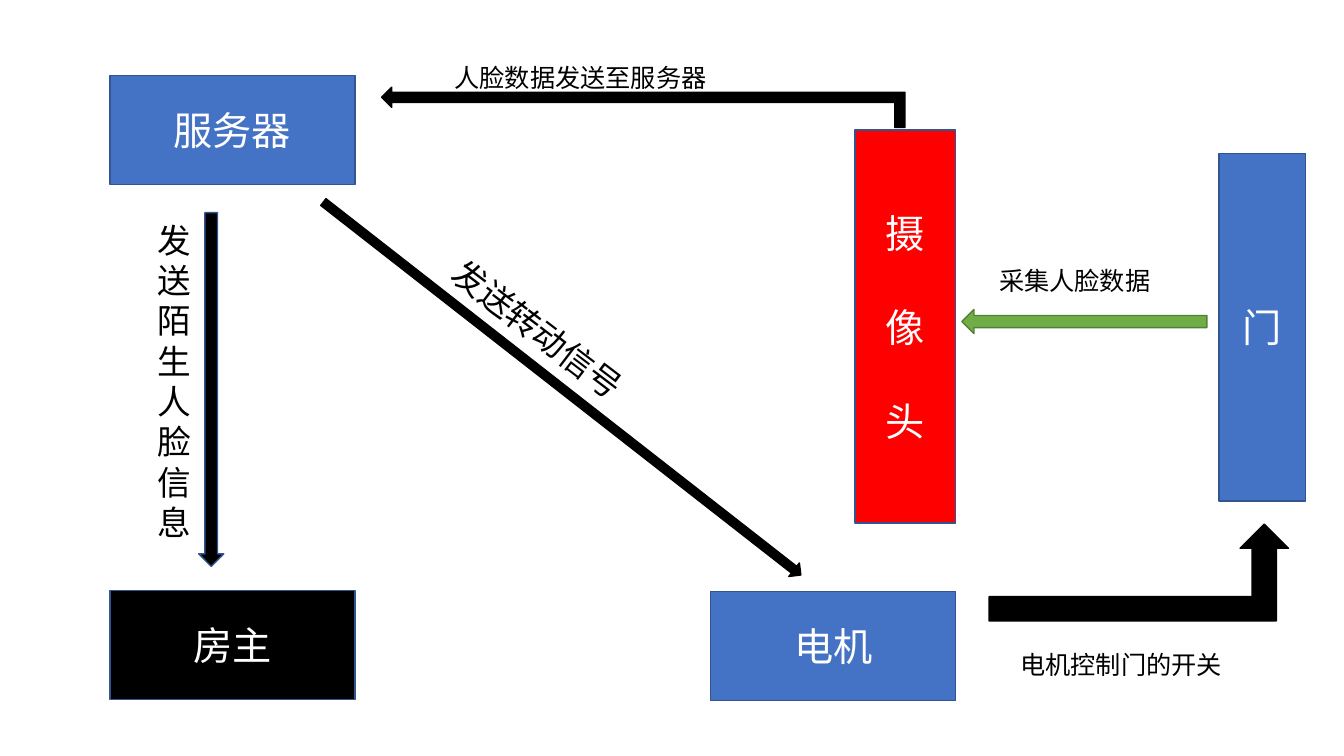
"""Draw the flow of a face-recognition door system on one slide."""
from dataclasses import dataclass
from typing import Any

import pptx
import pptx.dml.color
import pptx.enum.shapes
import pptx.enum.text
import pptx.oxml
import pptx.oxml.ns
import pptx.util

Inches = pptx.util.Inches
Preset = pptx.enum.shapes.MSO_SHAPE
Align = pptx.enum.text.PP_ALIGN
Anchor = pptx.enum.text.MSO_ANCHOR


@dataclass(frozen=True)
class Theme:
    """Colours, font and type sizes of the slide."""
    font: str = "Noto Sans CJK SC"
    blue: str = "4472C4"
    blue_edge: str = "325491"
    red: str = "FF0000"
    green: str = "70AD47"
    green_edge: str = "538035"
    black: str = "000000"
    white: str = "FFFFFF"
    node_size: float = 28
    step_size: float = 24
    caption_size: float = 18
    line_height: float = 1.2
    line_width: float = 1


THEME = Theme()


@dataclass(frozen=True)
class Box:
    """Left, top, width and height in inches, and a rotation in degrees."""
    left: float
    top: float
    width: float
    height: float
    rotation: float = 0

    def lengths(self) -> list[Any]:
        """Return the four measures as lengths."""
        return [Inches(value) for value in (self.left, self.top, self.width, self.height)]


@dataclass(frozen=True)
class Node:
    """A part of the system; each line is its own paragraph."""
    box: Box
    lines: tuple[str, ...]
    fill: str = THEME.blue
    gap: float = 0


@dataclass(frozen=True)
class Arrow:
    """A block arrow between two parts."""
    box: Box
    preset: Any
    fill: str = THEME.black
    edge: str = THEME.black


@dataclass(frozen=True)
class Label:
    """Words beside an arrow."""
    box: Box
    lines: tuple[str, ...]
    size: float = THEME.caption_size
    wrap: bool = False


NODE_WIDTH, NODE_HEIGHT = 2.43, 1.08

NODES = (
    Node(Box(1.09, 0.75, NODE_WIDTH, NODE_HEIGHT), ("服务器",)),
    Node(Box(8.48, 1.29, 1, 3.9), tuple("摄像头"), THEME.red, gap=33.5),
    Node(Box(7.05, 5.87, NODE_WIDTH, NODE_HEIGHT), ("电机",)),
    Node(Box(1.09, 5.86, NODE_WIDTH, NODE_HEIGHT), ("房主",), THEME.black),
    Node(Box(12.09, 1.52, 0.86, 3.45), ("门",)),
)

ARROWS = (
    Arrow(Box(6.18, -1.53, 0.4, 5.19, 270), Preset.BENT_UP_ARROW),
    Arrow(Box(2.57, 3.77, 6.01, 0.17, 38), Preset.RIGHT_ARROW),
    Arrow(Box(1.97, 2.11, 0.25, 3.51), Preset.DOWN_ARROW, edge=THEME.blue_edge),
    Arrow(Box(9.81, 5.2, 2.97, 0.96), Preset.BENT_UP_ARROW),
    Arrow(Box(9.54, 3.07, 2.43, 0.24), Preset.LEFT_ARROW, THEME.green, THEME.green_edge),
)

LABELS = (
    Label(Box(9.81, 2.58, 1.72, 0.4), ("采集人脸数据",)),
    Label(Box(4.41, 0.57, 2.73, 0.4), ("人脸数据发送至服务器",)),
    Label(Box(10.02, 6.39, 2.22, 0.4), ("电机控制门的开关",)),
    Label(Box(4.19, 3.15, 2.64, 0.5, 37.3), ("发送转动信号",), THEME.step_size, wrap=True),
    Label(Box(1.46, 2.13, 0.54, 3.33), tuple("发送陌生人脸信息"), THEME.step_size),
)


def apply_format(target: Any, values: dict[str, Any]) -> None:
    """Set each named attribute of the target."""
    for name, value in values.items():
        setattr(target, name, value)


def rgb(colour: str) -> Any:
    """Turn a hex colour into an RGB value."""
    return pptx.dml.color.RGBColor.from_string(colour)


def write_lines(shape: Any, lines: tuple[str, ...], size: float, colour: str,
                alignment: Any, gap: float = 0) -> None:
    """Write one paragraph for each line, with a gap between paragraphs."""
    text_frame = shape.text_frame
    for index, line in enumerate(lines):
        paragraph = text_frame.add_paragraph() if index else text_frame.paragraphs[0]
        apply_format(paragraph, {
            "alignment": alignment,
            "line_spacing": pptx.util.Pt(size * THEME.line_height),
            "space_before": pptx.util.Pt(gap if index else 0),
        })
        run = paragraph.add_run()
        run.text = line
        apply_format(run.font, {"name": THEME.font, "size": pptx.util.Pt(size)})
        run.font.color.rgb = rgb(colour)
        east_asian = pptx.oxml.parse_xml(
            f'<a:ea {pptx.oxml.ns.nsdecls("a")} typeface="{THEME.font}"/>')
        run.font._element.find(pptx.oxml.ns.qn("a:latin")).addnext(east_asian)


def draw_block(slide: Any, preset: Any, box: Box, fill: str, edge: str) -> Any:
    """Draw a filled, outlined preset shape without a shadow."""
    shape = slide.shapes.add_shape(preset, *box.lengths())
    shape.rotation = box.rotation
    shape.shadow.inherit = False
    shape.fill.solid()
    shape.fill.fore_color.rgb = rgb(fill)
    shape.line.color.rgb = rgb(edge)
    shape.line.width = pptx.util.Pt(THEME.line_width)
    return shape


def draw_node(slide: Any, node: Node) -> None:
    """Draw a part of the system with its centred name."""
    shape = draw_block(slide, Preset.FLOWCHART_PROCESS, node.box, node.fill, THEME.blue_edge)
    shape.text_frame.vertical_anchor = Anchor.MIDDLE
    write_lines(shape, node.lines, THEME.node_size, THEME.white, Align.CENTER, node.gap)


def draw_arrow(slide: Any, arrow: Arrow) -> None:
    """Draw a block arrow."""
    draw_block(slide, arrow.preset, arrow.box, arrow.fill, arrow.edge)


def draw_label(slide: Any, label: Label) -> None:
    """Draw the words beside an arrow."""
    shape = slide.shapes.add_textbox(*label.box.lengths())
    shape.rotation = label.box.rotation
    shape.text_frame.word_wrap = label.wrap
    write_lines(shape, label.lines, label.size, THEME.black, Align.LEFT)


def main() -> None:
    """Build and save the slide."""
    presentation = pptx.Presentation()
    apply_format(presentation, {"slide_width": Inches(13.33), "slide_height": Inches(7.5)})
    slide = presentation.slides.add_slide(presentation.slide_layouts.get_by_name("Blank"))
    for draw, items in ((draw_node, NODES), (draw_arrow, ARROWS), (draw_label, LABELS)):
        for item in items:
            draw(slide, item)
    presentation.save("out.pptx")


main()
